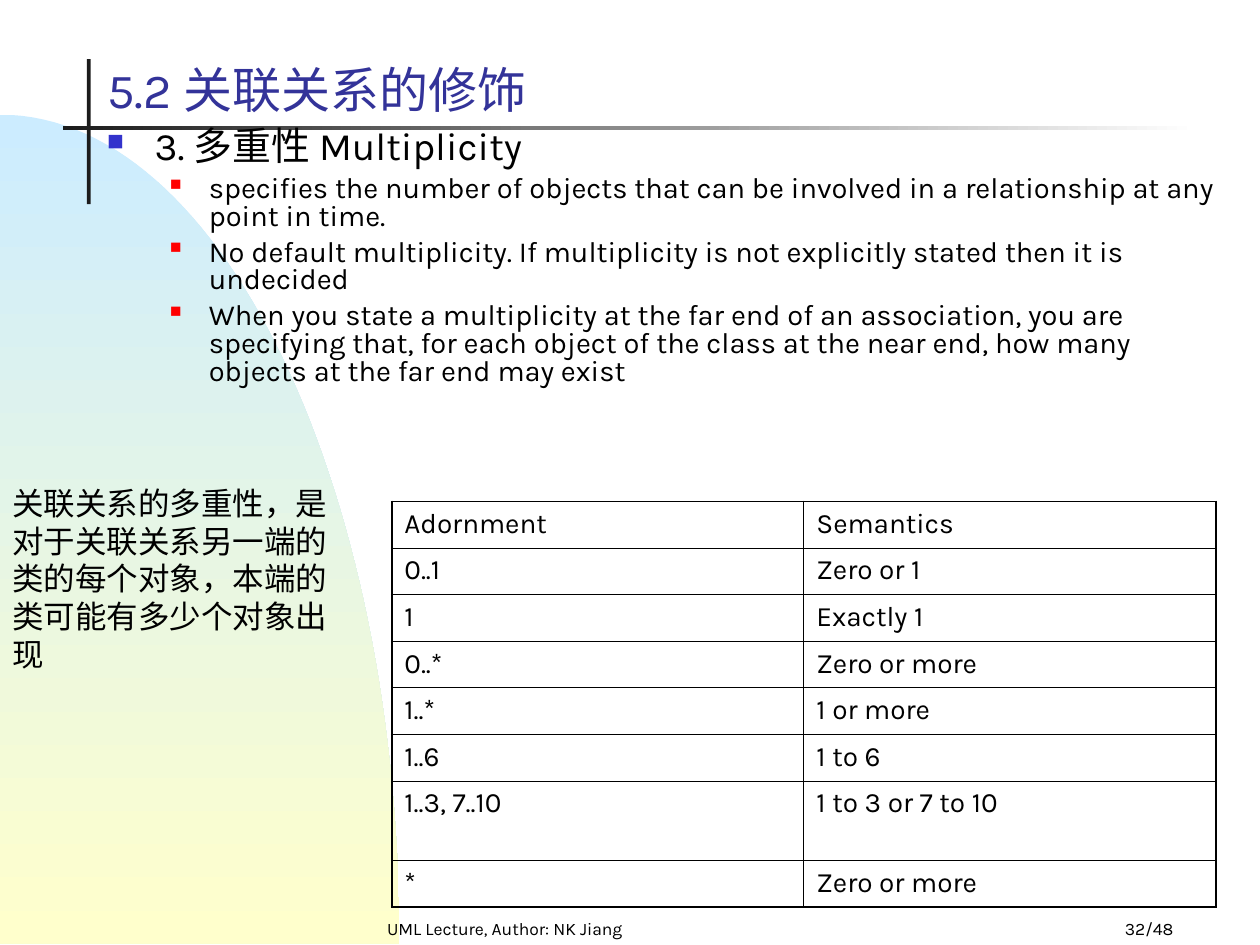
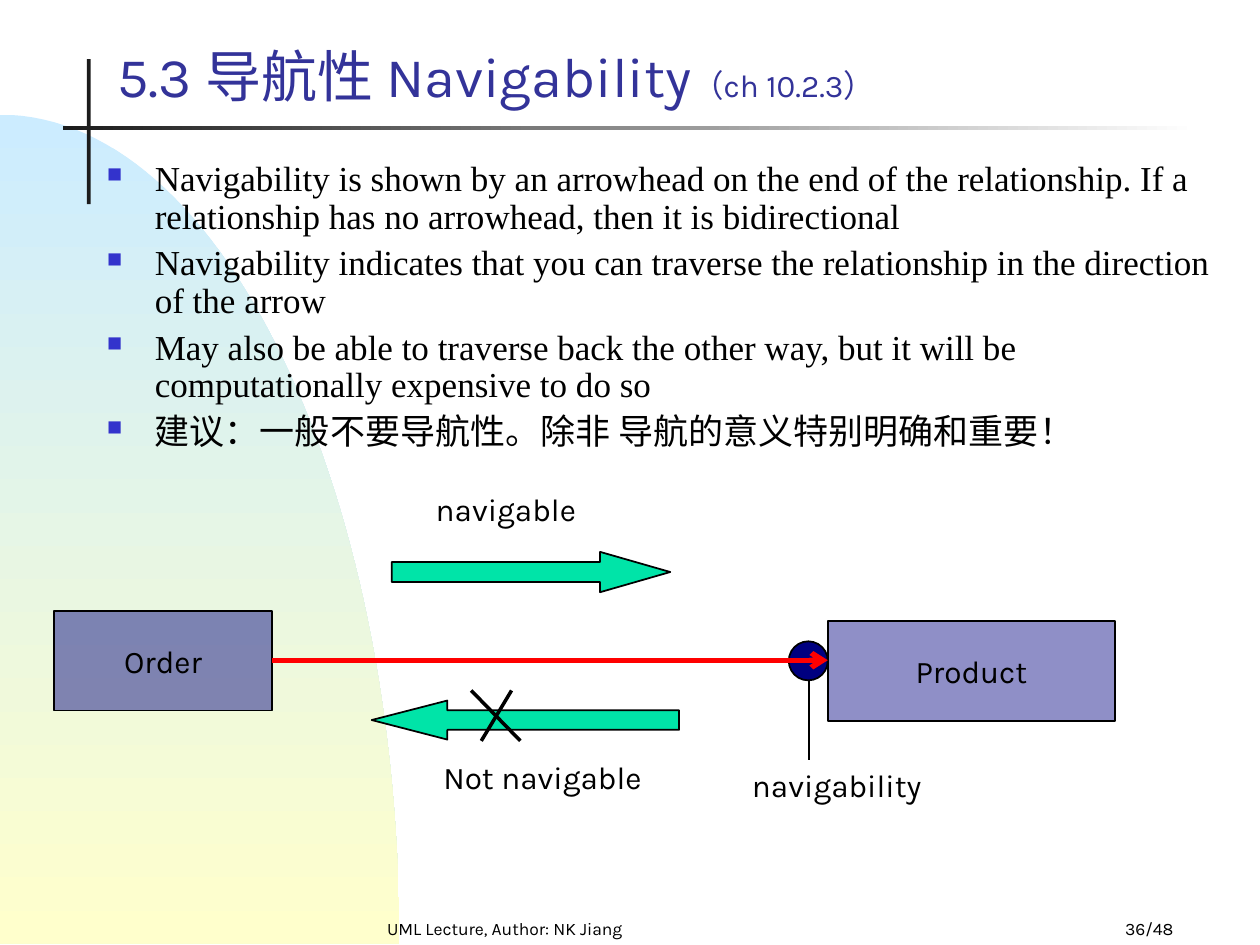
from lxml.etree import SubElement
from pptx import Presentation
from pptx.dml.color import RGBColor
from pptx.enum.shapes import MSO_CONNECTOR, MSO_SHAPE
from pptx.enum.text import MSO_ANCHOR, MSO_AUTO_SIZE, PP_ALIGN
from pptx.oxml.ns import qn
from pptx.util import Inches, Pt

BLACK = RGBColor(0x00, 0x00, 0x00)
CHARCOAL = RGBColor(0x1C, 0x1C, 0x1C)
WHITE = RGBColor(0xFF, 0xFF, 0xFF)
SKY = RGBColor(0xCC, 0xEC, 0xFF)
CREAM = RGBColor(0xFF, 0xFF, 0xCC)
TITLE_BLUE = RGBColor(0x33, 0x33, 0x99)
BULLET_BLUE = RGBColor(0x33, 0x33, 0xCC)
RED = RGBColor(0xFF, 0x00, 0x00)
NAVY = RGBColor(0x00, 0x00, 0x80)
GREEN = RGBColor(0x00, 0xE4, 0xA8)
FONT = "Karla"


def write(frame, text, size, font=FONT, alignment=PP_ALIGN.LEFT):
    paragraph = frame.paragraphs[0]
    paragraph.text = text
    paragraph.alignment = alignment
    paragraph.font.size = Pt(size)
    paragraph.font.name = font
    paragraph.font.color.rgb = BLACK


def add_bullets(slide, box, font, line_spacing, space_before, items):
    frame = slide.shapes.add_textbox(*map(Inches, box)).text_frame
    frame.word_wrap = True
    for index, (level, size, text) in enumerate(items):
        paragraph = frame.paragraphs[0] if index == 0 else frame.add_paragraph()
        paragraph.text = text
        paragraph.level = level
        margin, hanging, color, percent = [
            (0.38, 0.38, BULLET_BLUE, 60), (0.81, 0.31, RED, 55)][level]
        properties = paragraph._p.get_or_add_pPr()
        properties.set("marL", str(Inches(margin)))
        properties.set("indent", str(-Inches(hanging)))
        bullet_color = SubElement(properties, qn("a:buClr"))
        SubElement(bullet_color, qn("a:srgbClr"), val=str(color))
        SubElement(properties, qn("a:buSzPct"), val=str(percent * 1000))
        SubElement(properties, qn("a:buChar"), char="■")
        paragraph.line_spacing = line_spacing
        if index:
            paragraph.space_before = Pt(space_before)
        paragraph.font.size = Pt(size)
        paragraph.font.name = font
        paragraph.font.color.rgb = BLACK


presentation = Presentation()
presentation.slide_width = Inches(10)
presentation.slide_height = Inches(7.5)

arc_points = []
for step in range(1, 61):
    t = step / 60
    x = 3 * (1 - t) ** 2 * t * 1.75 + 3 * (1 - t) * t ** 2 * 3.17 + t ** 3 * 3.17
    y = (((1 - t) ** 3 + 3 * (1 - t) ** 2 * t) * 0.91
         + 3 * (1 - t) * t ** 2 * 3.86 + t ** 3 * 7.49)
    arc_points.append((Inches(x), Inches(y)))
arc_points.append((0, Inches(7.49)))

slide_heads = [
    ((0.75, 0.36, 5.83, 0.63), [("5.2 关联关系的修饰", 28)], "32/48"),
    ((0.83, 0, 7.65, 0.91),
     [("5.3 导航性 Navigability", 32), ("（ch 10.2.3）", 18)], "36/48"),
]
for title_box, title_runs, page in slide_heads:
    slide = presentation.slides.add_slide(presentation.slide_layouts[5])

    builder = slide.shapes.build_freeform(0, Inches(0.91))
    builder.add_line_segments(arc_points, close=True)
    arc = builder.convert_to_shape()
    upright = slide.shapes.add_shape(
        MSO_SHAPE.RECTANGLE, Inches(0.69), Inches(0.47), Inches(0.03), Inches(1.15))
    rule = slide.shapes.add_shape(
        MSO_SHAPE.RECTANGLE, Inches(0.5), Inches(1), Inches(9), Inches(0.03))
    for shape in (arc, upright, rule):
        shape.shadow.inherit = False
        shape.line.fill.background()
    upright.fill.solid()
    upright.fill.fore_color.rgb = CHARCOAL
    for shape, angle, colors in ((arc, 270, (SKY, CREAM)), (rule, 0, (CHARCOAL, WHITE))):
        shape.fill.gradient()
        shape.fill.gradient_angle = angle
        for stop, color in zip(shape.fill.gradient_stops, colors):
            stop.color.rgb = color

    for left, width, text, alignment in (
            (2.42, 3.17, "UML Lecture, Author: NK Jiang", PP_ALIGN.CENTER),
            (7.33, 2.08, page, PP_ALIGN.RIGHT)):
        frame = slide.shapes.add_textbox(
            Inches(left), Inches(7.17), Inches(width), Inches(0.33)).text_frame
        frame.word_wrap = True
        frame.vertical_anchor = MSO_ANCHOR.BOTTOM
        write(frame, text, 10, alignment=alignment)

    title = slide.shapes.title
    title.left, title.top, title.width, title.height = map(Inches, title_box)
    title.text_frame.auto_size = MSO_AUTO_SIZE.NONE
    title.text_frame.vertical_anchor = MSO_ANCHOR.BOTTOM
    paragraph = title.text_frame.paragraphs[0]
    paragraph.alignment = PP_ALIGN.LEFT
    paragraph.font.name = FONT
    paragraph.font.color.rgb = TITLE_BLUE
    for text, size in title_runs:
        run = paragraph.add_run()
        run.text = text
        run.font.size = Pt(size)

multiplicity_slide, navigability_slide = presentation.slides

add_bullets(multiplicity_slide, (0.75, 0.99, 9.13, 2.21), FONT, 0.8, 4.5, [
    (0, 22.2, "3. 多重性 Multiplicity"),
    (1, 16.6, "specifies the number of objects that can be involved in a "
              "relationship at any point in time."),
    (1, 16.6, "No default multiplicity. If multiplicity is not explicitly "
              "stated then it is undecided"),
    (1, 16.6, "When you state a multiplicity at the far end of an association, "
              "you are specifying that, for each object of the class at the near "
              "end, how many objects at the far end may exist"),
])

adornments = [
    ("Adornment", "Semantics"),
    ("0..1", "Zero or 1"),
    ("1", "Exactly 1"),
    ("0..*", "Zero or more"),
    ("1..*", "1 or more"),
    ("1..6", "1 to 6"),
    ("1..3, 7..10", "1 to 3 or 7 to 10"),
    ("*", "Zero or more"),
]
last_row = len(adornments) - 1
table = multiplicity_slide.shapes.add_table(
    len(adornments), 2, Inches(3.11), Inches(3.98), Inches(6.54), Inches(3.2)).table
table.first_row = False
table.horz_banding = False
for row_index, texts in enumerate(adornments):
    table.rows[row_index].height = Inches(0.63 if row_index == 6 else 0.37)
    for column_index, text in enumerate(texts):
        cell = table.cell(row_index, column_index)
        write(cell.text_frame, text, 16)
        properties = cell._tc.get_or_add_tcPr()
        outer_edges = {"L": column_index == 0, "R": column_index == 1,
                       "T": row_index == 0, "B": row_index == last_row}
        for edge, outer in outer_edges.items():
            border = SubElement(properties, qn(f"a:ln{edge}"),
                                w=str(Pt(1.08 if outer else 0.45)))
            border_fill = SubElement(border, qn("a:solidFill"))
            SubElement(border_fill, qn("a:srgbClr"), val=str(BLACK))
        cell.fill.background()

frame = multiplicity_slide.shapes.add_textbox(
    Inches(0), Inches(3.79), Inches(2.72), Inches(1.6)).text_frame
frame.word_wrap = True
write(frame, "关联关系的多重性，是对于关联关系另一端的类的每个对象，本端的类可能有多少个对象出现",
      18, "Roboto")

add_bullets(navigability_slide, (0.75, 1.23, 9.02, 3.15), "Times New Roman", 0.9, 5, [
    (0, 20, "Navigability is shown by an arrowhead on the end of the relationship. "
            "If a relationship has no arrowhead, then it is bidirectional"),
    (0, 20, "Navigability indicates that you can traverse the relationship in the "
            "direction of the arrow"),
    (0, 20, "May also be able to traverse back the other way, but it will be "
            "computationally expensive to do so"),
    (0, 20, "建议：一般不要导航性。除非 导航的意义特别明确和重要！"),
])

diagram_shapes = [
    (MSO_SHAPE.OVAL, (6.26, 5.09, 0.31, 0.31), NAVY, None, None, ""),
    (MSO_SHAPE.RECTANGLE, (0.43, 4.85, 1.73, 0.79), NAVY, 47, None, "Order"),
    (MSO_SHAPE.RECTANGLE, (6.57, 4.93, 2.28, 0.79), NAVY, 44, None, "Product"),
    (MSO_SHAPE.RIGHT_ARROW, (3.11, 4.38, 2.21, 0.32), GREEN, None, 1.74, ""),
    (MSO_SHAPE.LEFT_ARROW, (2.95, 5.56, 2.44, 0.31), GREEN, None, 1.94, ""),
]
for kind, box, color, opacity, head_length, text in diagram_shapes:
    shape = navigability_slide.shapes.add_shape(kind, *map(Inches, box))
    shape.shadow.inherit = False
    shape.fill.solid()
    shape.fill.fore_color.rgb = color
    shape.line.color.rgb = BLACK
    shape.line.width = Pt(1)
    if opacity:
        fill_color = shape._element.spPr.find(f"{qn('a:solidFill')}/{qn('a:srgbClr')}")
        SubElement(fill_color, qn("a:alpha"), val=str(opacity * 1000))
    if head_length:
        shape.adjustments[1] = head_length
    if text:
        shape.text_frame.word_wrap = False
        write(shape.text_frame, text, 18, alignment=PP_ALIGN.CENTER)

diagram_lines = [
    ((2.16, 5.24, 6.57, 5.24), RED, 3),
    ((6.42, 5.4, 6.42, 6.03), BLACK, 1),
    ((4.06, 5.48, 3.82, 5.88), BLACK, 2),
    ((3.74, 5.48, 4.13, 5.88), BLACK, 2),
]
for ends, color, width in diagram_lines:
    connector = navigability_slide.shapes.add_connector(
        MSO_CONNECTOR.STRAIGHT, *map(Inches, ends))
    connector.line.color.rgb = color
    connector.line.width = Pt(width)
    if color == RED:
        SubElement(connector.line._get_or_add_ln(), qn("a:tailEnd"), type="arrow")
    SubElement(connector._element.spPr, qn("a:effectLst"))

for box, text in (
        ((3.36, 3.84, 1.34, 0.4), "navigable"),
        ((3.42, 5.97, 1.83, 0.4), "Not navigable"),
        ((5.87, 6.03, 1.73, 0.4), "navigability")):
    frame = navigability_slide.shapes.add_textbox(*map(Inches, box)).text_frame
    frame.word_wrap = text == "navigability"
    write(frame, text, 18)

presentation.save("out.pptx")
